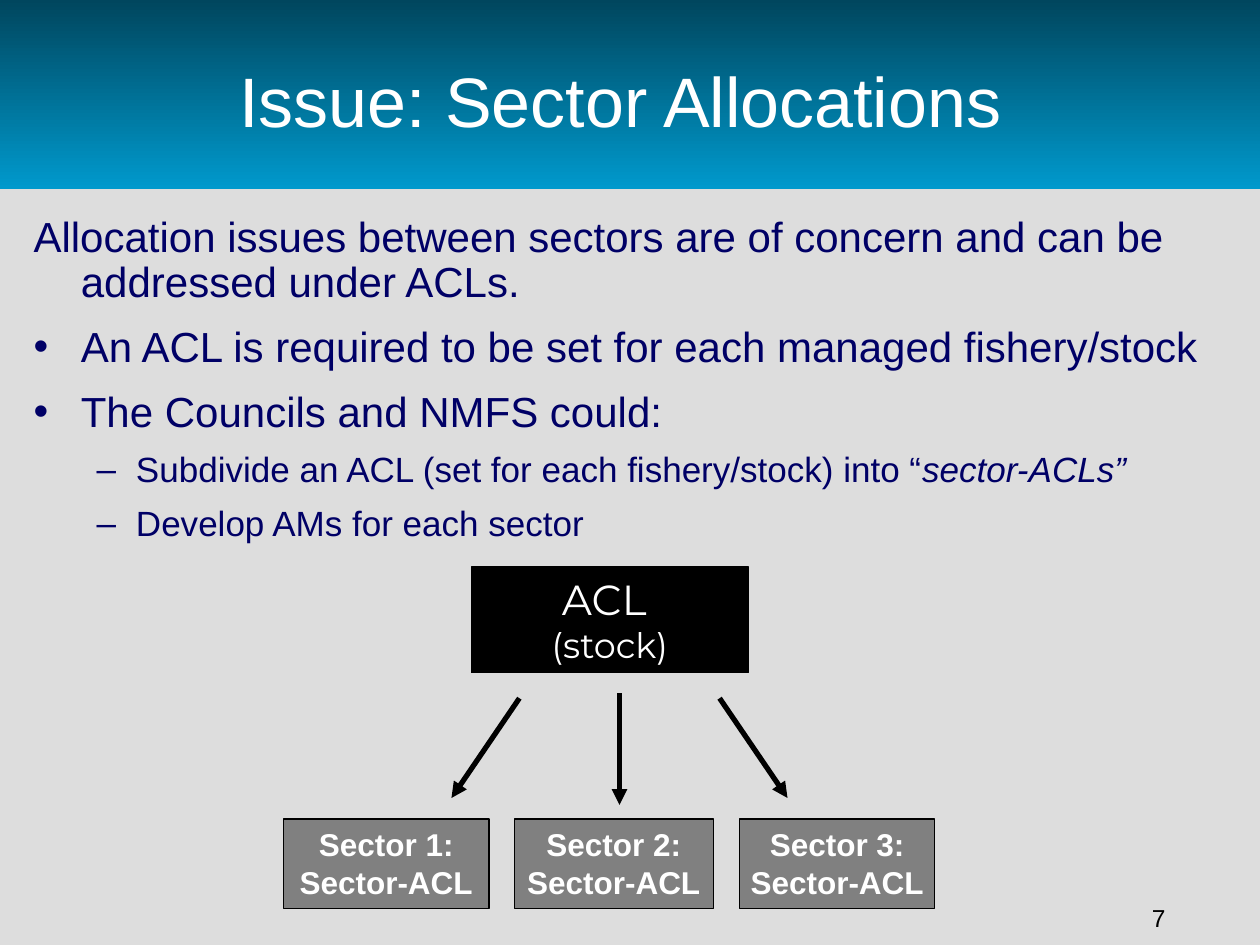
import pptx
import pptx.dml.color
import pptx.enum.shapes
import pptx.enum.text
import pptx.oxml
import pptx.oxml.ns
import pptx.util

Pt = pptx.util.Pt
ALIGN = pptx.enum.text.PP_ALIGN
COLORS = {
    "paper": "DDDDDD", "banner top": "00465E", "banner bottom": "0099CC",
    "title": "FFFFFF", "body": "000066", "ink": "000000", "sector": "808080",
}


def rgb(name):
    """Return the named colour."""
    return pptx.dml.color.RGBColor.from_string(COLORS[name])


class SlideBuilder:
    """Holds the style and the current slide and draws each kind of element."""

    font = "Arial"

    def __init__(self, slide):
        """Keep the slide to draw on."""
        self.slide = slide

    def style(self, paragraph, size, color, font=None, bold=None, align=None):
        """Format every run of a paragraph."""
        paragraph.alignment = align
        for run in paragraph.runs:
            run.font.size = Pt(size)
            run.font.name = font or self.font
            run.font.bold = bold
            run.font.color.rgb = rgb(color)

    def place(self, shape, left, top, width, height):
        """Move and size a placeholder."""
        shape.left, shape.top = Pt(left), Pt(top)
        shape.width, shape.height = Pt(width), Pt(height)

    def rectangle(self, left, top, width, height, fill):
        """Draw a rectangle with a plain fill and no outline."""
        shape = self.slide.shapes.add_shape(
            pptx.enum.shapes.MSO_SHAPE.RECTANGLE, Pt(left), Pt(top), Pt(width), Pt(height))
        shape.shadow.inherit = False
        shape.fill.solid()
        shape.fill.fore_color.rgb = rgb(fill)
        shape.line.fill.background()
        return shape

    def backdrop(self):
        """Draw the paper and the gradient banner behind the placeholders."""
        paper = self.rectangle(0, 108, 720, 432, "paper")
        banner = self.rectangle(0, 0, 720, 108, "banner top")
        banner.fill.gradient()
        banner.fill.gradient_angle = 270
        for stop, color in zip(banner.fill.gradient_stops, ("banner top", "banner bottom")):
            stop.color.rgb = rgb(color)
        for shape in (banner, paper):
            self.slide.shapes._spTree.insert(2, shape._element)

    def title(self, text):
        """Fill the title placeholder."""
        heading = self.slide.shapes.title
        self.place(heading, 0, 12, 720, 90)
        heading.text_frame.text = text
        heading.text_frame.auto_size = pptx.enum.text.MSO_AUTO_SIZE.NONE
        heading.text_frame.vertical_anchor = pptx.enum.text.MSO_ANCHOR.MIDDLE
        self.style(heading.text_frame.paragraphs[0], 40, "title", align=ALIGN.CENTER)

    def body(self, points):
        """Fill the body placeholder with (level, bulleted, text, italic ending) points."""
        body = self.slide.placeholders[1]
        self.place(body, 12, 120, 708, 198)
        frame = body.text_frame
        frame.text = "\n".join(text for _, _, text, _ in points)
        frame.auto_size = pptx.enum.text.MSO_AUTO_SIZE.NONE
        for paragraph, (level, bulleted, _, ending) in zip(frame.paragraphs, points):
            size, margin, hanging = ((24, 27, 27), (20, 58.5, 22.5))[level]
            paragraph.level = level
            paragraph.line_spacing = 0.9
            paragraph.space_before = Pt(size * 0.46)
            if ending:
                emphasis = paragraph.add_run()
                emphasis.text = ending
                emphasis.font.italic = True
            self.style(paragraph, size, "body")
            properties = paragraph._p.get_or_add_pPr()
            properties.set("marL", str(Pt(margin)))
            properties.set("indent", str(-Pt(hanging)))
            if not bulleted:
                properties.append(pptx.oxml.parse_xml(
                    f"<a:buNone {pptx.oxml.ns.nsdecls('a')}/>"))

    def box(self, left, top, width, height, fill, lines, sizes, font=None, bold=None):
        """Draw an outlined box with centred lines of text."""
        shape = self.rectangle(left, top, width, height, fill)
        shape.line.color.rgb = rgb("ink")
        shape.line.width = Pt(0.75)
        frame = shape.text_frame
        frame.margin_left = frame.margin_right = 0
        frame.vertical_anchor = pptx.enum.text.MSO_ANCHOR.TOP
        frame.text = "\n".join(lines)
        for paragraph, size in zip(frame.paragraphs, sizes):
            self.style(paragraph, size, "title", font, bold, ALIGN.CENTER)

    def arrow(self, start, end):
        """Draw an arrow between two points."""
        arrow = self.slide.shapes.add_connector(
            pptx.enum.shapes.MSO_CONNECTOR.STRAIGHT, *map(Pt, start + end))
        arrow.line.color.rgb = rgb("ink")
        arrow.line.width = Pt(3)
        namespace = pptx.oxml.ns.nsdecls("a")
        arrow.line._get_or_add_ln().append(
            pptx.oxml.parse_xml(f'<a:tailEnd {namespace} type="triangle"/>'))
        arrow._element.spPr.append(pptx.oxml.parse_xml(f"<a:effectLst {namespace}/>"))

    def page_number(self, text):
        """Write the page number at the lower right."""
        frame = self.slide.shapes.add_textbox(Pt(624), Pt(516), Pt(42), Pt(24)).text_frame
        frame.word_wrap = True
        frame.margin_left = frame.margin_right = frame.margin_top = frame.margin_bottom = 0
        frame.text = text
        self.style(frame.paragraphs[0], 14, "ink", align=ALIGN.RIGHT)


def main():
    """Build the sector allocation slide."""
    deck = pptx.Presentation()
    deck.slide_width, deck.slide_height = Pt(720), Pt(540)
    builder = SlideBuilder(deck.slides.add_slide(deck.slide_layouts[1]))
    builder.backdrop()
    builder.page_number("7")
    builder.title("Issue: Sector Allocations ")
    builder.body([
        (0, False, "Allocation issues between sectors are of concern and can be "
                   "addressed under ACLs.", ""),
        (0, True, "An ACL is required to be set for each managed fishery/stock", ""),
        (0, True, "The Councils and NMFS could:", ""),
        (1, True, "Subdivide an ACL (set for each fishery/stock) into “", "sector-ACLs”"),
        (1, True, "Develop AMs for each sector", ""),
    ])
    builder.box(269.3, 324, 158.4, 60.5, "ink", ("ACL ", "(stock)"), (24, 20), "Montserrat")
    center = 354
    builder.arrow((center, 396), (center, 460))
    for side in (-1, 1):
        builder.arrow((center + side * 57.2, 399), (center + side * 96, 456))
    sectors = ((162, 117.4), (293.8, 113.8), (422.6, 111.6))
    for number, (left, width) in enumerate(sectors, 1):
        builder.box(left, 468, width, 51, "sector",
                    (f"Sector {number}:", "Sector-ACL"), (18, 18), bold=True)
    deck.save("out.pptx")


if __name__ == "__main__":
    main()
